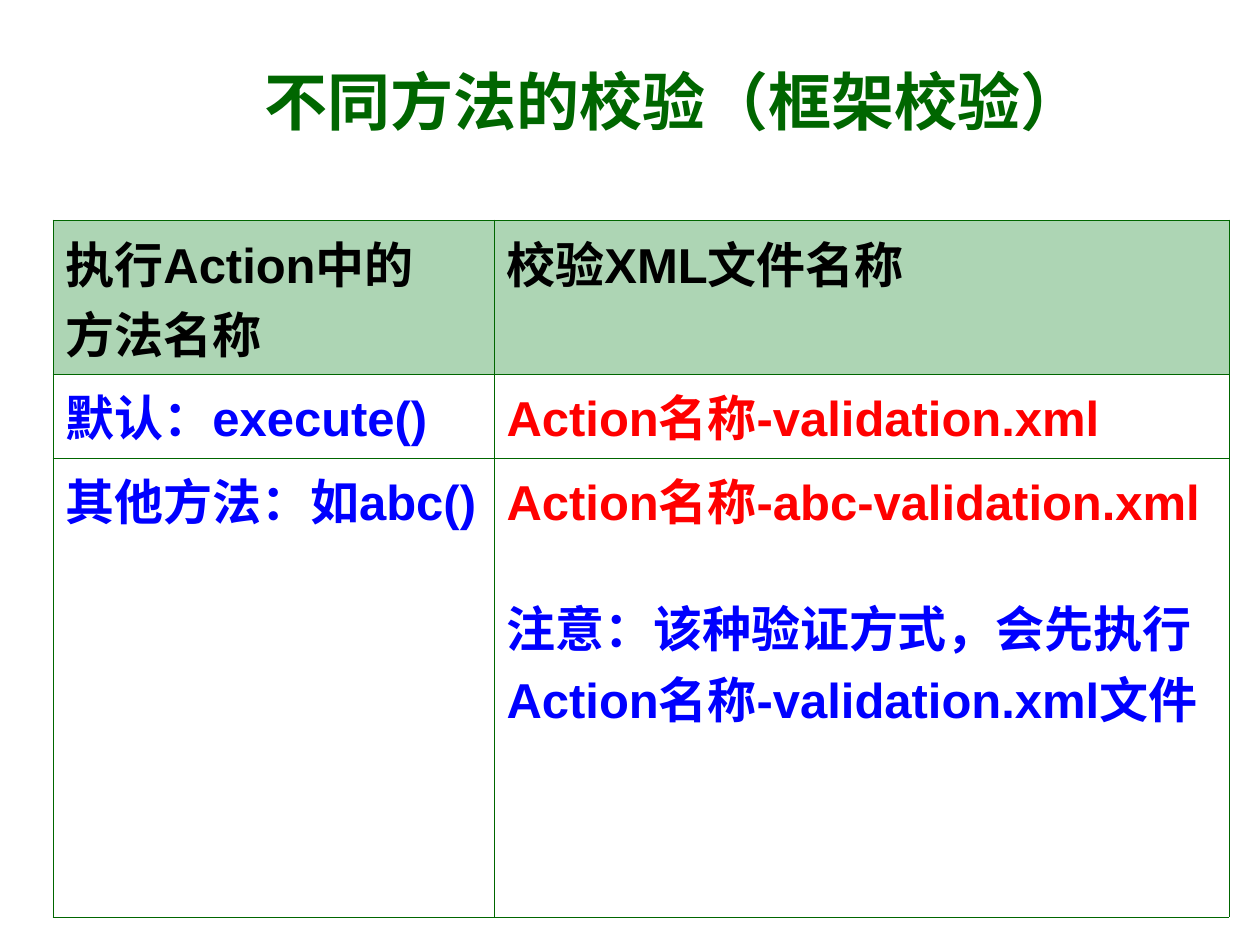
from dataclasses import dataclass

from lxml import etree
from pptx import Presentation
from pptx import util as u
from pptx.dml.color import RGBColor
from pptx.enum import text
from pptx.oxml import ns

PX_PER_INCH = 126


@dataclass(frozen=True)
class Theme:
    green: str = "006600"
    header: str = "ADD5B4"
    black: str = "000000"
    blue: str = "0000FF"
    red: str = "FF0000"
    latin: str = "Arial"
    chinese: str = "Noto Sans CJK JP"
    title_size: float = 36
    body_size: float = 28
    note_gap: float = 32
    border: float = 0.45


THEME = Theme()

COLUMN_WIDTHS = [441, 735]
ROW_HEIGHTS = [154, 84, 459]
ROWS = [
    [(["执行Action中的", "方法名称"], THEME.black),
     (["校验XML文件名称"], THEME.black)],
    [(["默认：execute()"], THEME.blue),
     (["Action名称-validation.xml"], THEME.red)],
    [(["其他方法：如abc()"], THEME.blue),
     (["Action名称-abc-validation.xml"], THEME.red)],
]
NOTE = "注意：该种验证方式，会先执行Action名称-validation.xml文件"


def px(value):
    return u.Emu(round(value * u.Inches(1) / PX_PER_INCH))


def add_run(paragraph, words, size, color, latin):
    run = paragraph.add_run()
    run.text = words
    run.font.size = u.Pt(size)
    run.font.bold = True
    run.font.color.rgb = RGBColor.from_string(color)
    run.font.name = latin
    properties = run.font._element
    etree.SubElement(properties, ns.qn("a:ea"), typeface=THEME.chinese)


def add_title(slide, words):
    shape = slide.shapes.add_textbox(px(252), px(53), px(987), px(95))
    frame = shape.text_frame
    frame.word_wrap = True
    frame.vertical_anchor = text.MSO_ANCHOR.MIDDLE
    add_run(frame.paragraphs[0], words, THEME.title_size, THEME.green, THEME.chinese)


def add_borders(cell):
    properties = cell._tc.get_or_add_tcPr()
    for side in ("lnL", "lnR", "lnT", "lnB"):
        line = etree.SubElement(properties, ns.qn(f"a:{side}"), w=str(u.Pt(THEME.border)))
        fill = etree.SubElement(line, ns.qn("a:solidFill"))
        etree.SubElement(fill, ns.qn("a:srgbClr"), val=THEME.green)


def style_cell(cell, is_header):
    add_borders(cell)
    if is_header:
        cell.fill.solid()
        cell.fill.fore_color.rgb = RGBColor.from_string(THEME.header)
    else:
        cell.fill.background()


def write_cell(cell, lines, color):
    frame = cell.text_frame
    for index, words in enumerate(lines):
        paragraph = frame.add_paragraph() if index else frame.paragraphs[0]
        add_run(paragraph, words, THEME.body_size, color, THEME.latin)


def add_note(cell, words):
    paragraph = cell.text_frame.add_paragraph()
    paragraph.space_before = u.Pt(THEME.note_gap)
    add_run(paragraph, words, THEME.body_size, THEME.blue, THEME.latin)


def add_methods_table(slide):
    shape = slide.shapes.add_table(
        len(ROW_HEIGHTS), len(COLUMN_WIDTHS),
        px(53), px(220), px(sum(COLUMN_WIDTHS)), px(sum(ROW_HEIGHTS)))
    table = shape.table
    table.first_row = False
    table.horz_banding = False
    for column, width in zip(table.columns, COLUMN_WIDTHS):
        column.width = px(width)
    for row_index, (row, height) in enumerate(zip(table.rows, ROW_HEIGHTS)):
        row.height = px(height)
        for cell, (lines, color) in zip(row.cells, ROWS[row_index]):
            style_cell(cell, row_index == 0)
            write_cell(cell, lines, color)
    add_note(table.cell(2, 1), NOTE)


def main():
    presentation = Presentation()
    presentation.slide_width = px(1260)
    presentation.slide_height = px(945)
    slide = presentation.slides.add_slide(presentation.slide_layouts[6])
    add_title(slide, "不同方法的校验（框架校验）")
    add_methods_table(slide)
    presentation.save("out.pptx")


if __name__ == "__main__":
    main()
